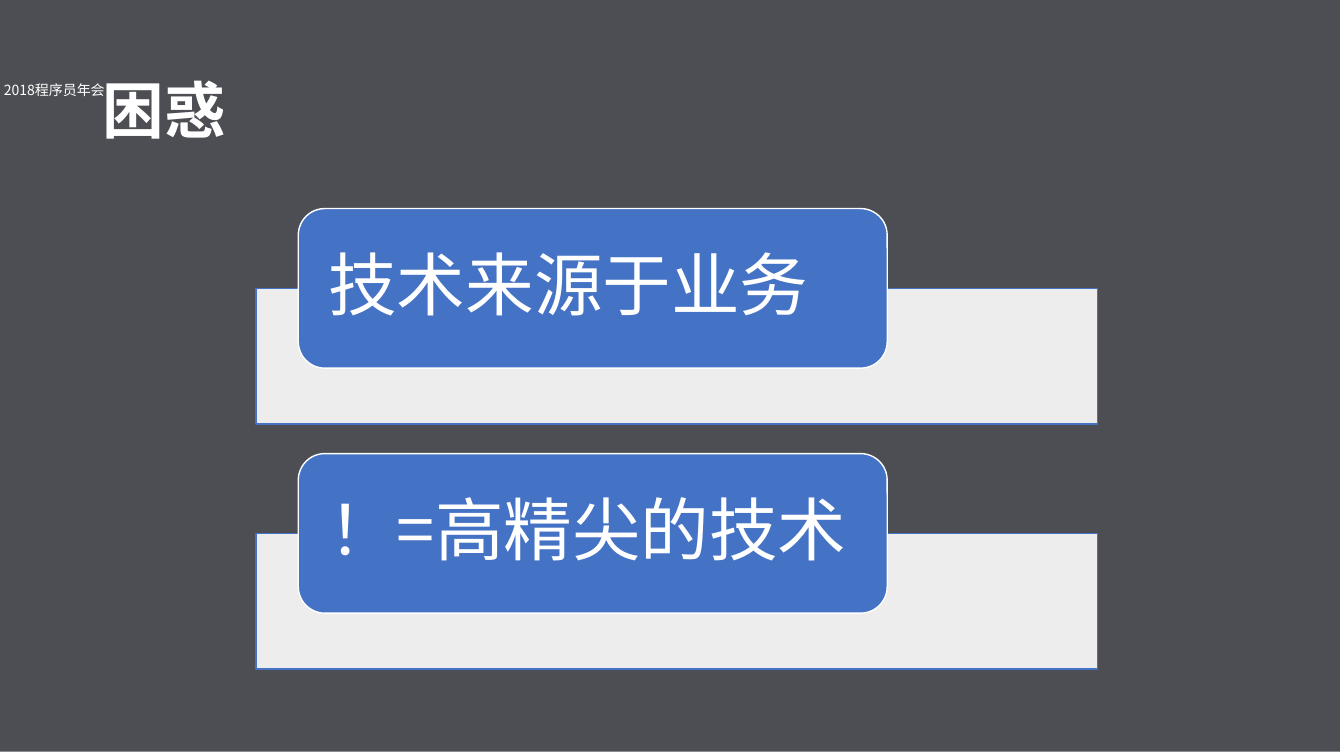
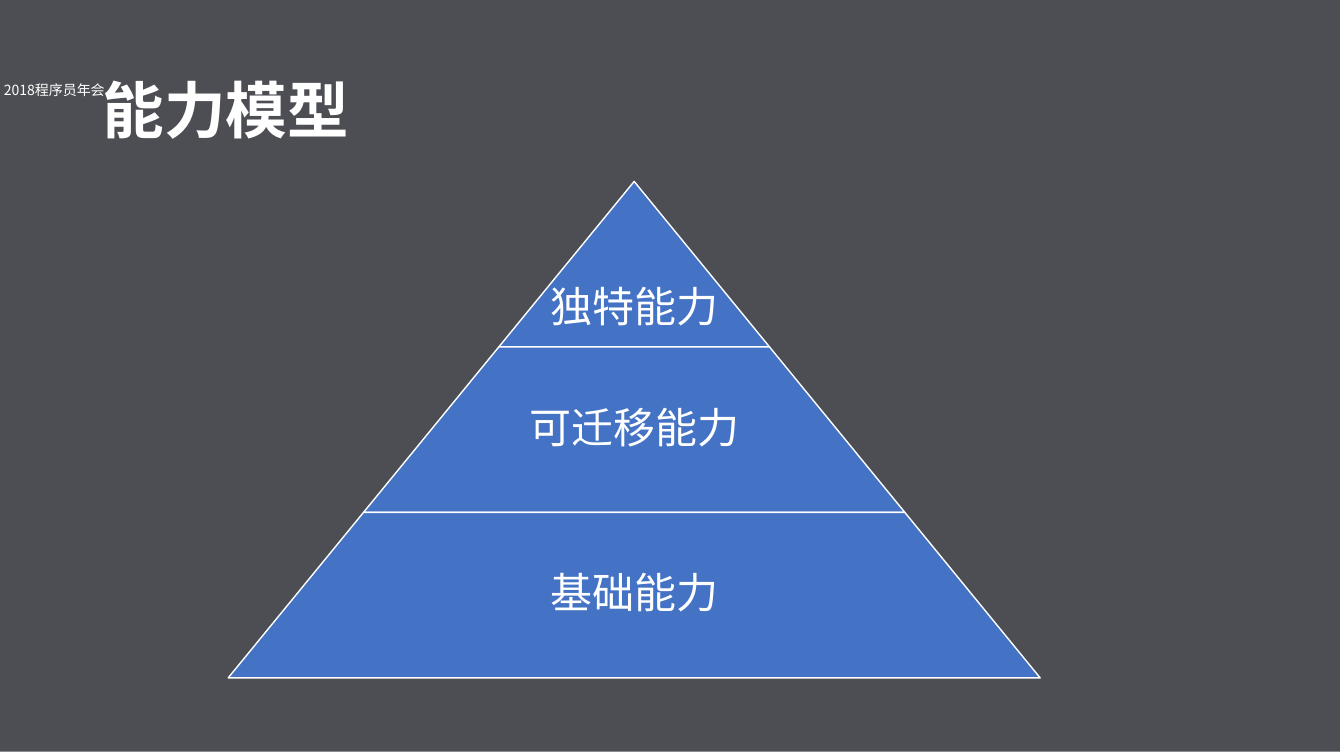
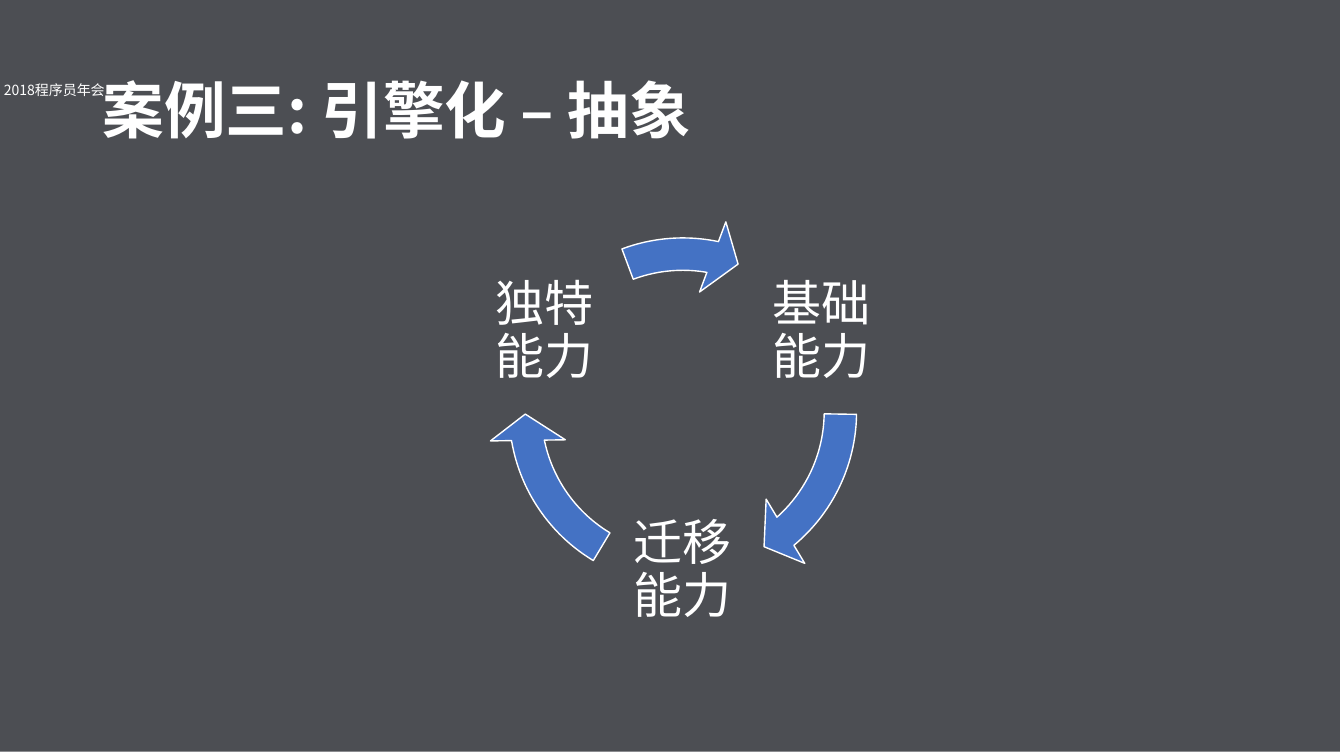
import math

import pptx
import pptx.dml.color
import pptx.enum.shapes
import pptx.enum.text
import pptx.oxml
import pptx.oxml.ns
import pptx.util

Pt = pptx.util.Pt
MSO_SHAPE = pptx.enum.shapes.MSO_SHAPE
PP_ALIGN = pptx.enum.text.PP_ALIGN
MSO_ANCHOR = pptx.enum.text.MSO_ANCHOR
MSO_AUTO_SIZE = pptx.enum.text.MSO_AUTO_SIZE

FONT = "Noto Sans CJK SC"
COLORS = {"overlay": "01040B", "accent": "4472C4", "white": "FFFFFF"}
EVENT = "2018程序员年会"
EVENT_STOPS = [(5, "BFBFBF"), (41, "FFFFFF"), (65, "FFFFFF"), (97, "D9D9D9")]
TITLE_ONLY = 5


def rgb(name):
    return pptx.dml.color.RGBColor.from_string(COLORS[name])


def write(tf, text, size, align=PP_ALIGN.CENTER, anchor=MSO_ANCHOR.MIDDLE,
          inset=(0, 0), bold=False, spacing=0.9):
    """Fill a text frame; inset is (horizontal, vertical) in points."""
    frame = {"word_wrap": True, "auto_size": MSO_AUTO_SIZE.NONE,
             "vertical_anchor": anchor,
             "margin_left": Pt(inset[0]), "margin_right": Pt(inset[0]),
             "margin_top": Pt(inset[1]), "margin_bottom": Pt(inset[1])}
    for name, value in frame.items():
        setattr(tf, name, value)
    tf.text = text
    p = tf.paragraphs[0]
    p.alignment = align
    p.line_spacing = spacing
    for r in p.runs:
        for name, value in {"size": Pt(size), "bold": bold, "name": FONT}.items():
            setattr(r.font, name, value)
        r.font.color.rgb = rgb("white")
        latin = r.font._element.find(pptx.oxml.ns.qn("a:latin"))
        latin.addnext(pptx.oxml.parse_xml(
            f'<a:ea {pptx.oxml.ns.nsdecls("a")} typeface="{FONT}"/>'))


def add_text(s, box, text, size, **style):
    sp = s.shapes.add_textbox(*map(Pt, box))
    write(sp.text_frame, text, size, **style)
    return sp


def add_shape(s, kind, box, fill, line=None, opacity=None):
    sp = s.shapes.add_shape(kind, *map(Pt, box))
    sp.shadow.inherit = False
    sp.fill.solid()
    sp.fill.fore_color.rgb = rgb(fill)
    if opacity is not None:
        color = sp._element.spPr.find(".//" + pptx.oxml.ns.qn("a:srgbClr"))
        color.append(pptx.oxml.parse_xml(
            f'<a:alpha {pptx.oxml.ns.nsdecls("a")} val="{opacity * 1000}"/>'))
    if line:
        sp.line.color.rgb = rgb(line)
        sp.line.width = Pt(1)
    else:
        sp.line.fill.background()
    return sp


def add_event_label(s, box):
    sp = add_text(s, box, EVENT, 10, anchor=MSO_ANCHOR.TOP,
                  inset=(7.2, 3.6), spacing=1.0)
    solid = sp._element.find(".//" + pptx.oxml.ns.qn("a:rPr")).find(
        pptx.oxml.ns.qn("a:solidFill"))
    stops = "".join(f'<a:gs pos="{pos * 1000}"><a:srgbClr val="{color}"/></a:gs>'
                    for pos, color in EVENT_STOPS)
    gradient = pptx.oxml.parse_xml(
        f'<a:gradFill {pptx.oxml.ns.nsdecls("a")}><a:gsLst>{stops}</a:gsLst>'
        '<a:lin ang="5400000" scaled="0"/></a:gradFill>')
    solid.getparent().replace(solid, gradient)


def add_base_slide(prs, text):
    """Add a slide with the dark overlay, the event label and the title."""
    s = prs.slides.add_slide(prs.slide_layouts[TITLE_ONLY])
    add_shape(s, MSO_SHAPE.RECTANGLE, (-3, -3, 960, 540), "overlay", opacity=70)
    add_event_label(s, (-5, 54.7, 87.6, 19.5))
    title = s.shapes.title
    s.shapes._spTree.append(title._element)
    place = {"left": 66, "top": 28.8, "width": 828, "height": 104.4}
    for name, value in place.items():
        setattr(title, name, Pt(value))
    write(title.text_frame, text, 44, align=PP_ALIGN.LEFT, inset=(7.2, 3.6), bold=True)
    return s


def add_statements(s, box, texts):
    """Stack statements, each a pill overlapping a pale bar."""
    x, y, w, h = box
    pill_h, bar_drop, bar_h = 114, 57, 97
    step = (h - bar_drop - bar_h) / (len(texts) - 1)
    for i, text in enumerate(texts):
        top = y + i * step
        add_shape(s, MSO_SHAPE.RECTANGLE, (x, top + bar_drop, w, bar_h),
                  "white", "accent", opacity=90)
        pill = add_shape(s, MSO_SHAPE.ROUNDED_RECTANGLE,
                         (x + w * 0.05, top, w * 0.7, pill_h), "accent", "white")
        write(pill.text_frame, text, 49, align=PP_ALIGN.LEFT, inset=(16, 0))


def add_pyramid(s, box, tiers):
    """Draw tiers from the top; each is a text and its drop below the middle."""
    x, y, w, h = box
    n = len(tiers)
    tier_h = h / n
    for i, (text, drop) in enumerate(tiers):
        tier_w = w * (i + 1) / n
        left, top = x + (w - tier_w) / 2, y + i * tier_h
        tier = add_shape(s, MSO_SHAPE.TRAPEZOID, (left, top, tier_w, tier_h),
                         "accent", "white")
        tier.adjustments[0] = w / (2 * n) / tier_h
        add_text(s, (left, top + drop, tier_w, tier_h), text, 30, inset=(3, 3))


def add_cycle(s, box, steps):
    """Place labels evenly on a ring; each step has its arrow's start and end degrees."""
    x, y, side = box
    radius, label = 114, 118
    for i, (text, start, end) in enumerate(steps):
        angle = math.radians(-30 + i * 360 / len(steps))
        cx = x + side / 2 + radius * math.cos(angle)
        cy = y + side / 2 + radius * math.sin(angle)
        add_text(s, (cx - label / 2, cy - label / 2, label, label), text, 35,
                 inset=(3.6, 3.6))
        arrow = add_shape(s, MSO_SHAPE.CIRCULAR_ARROW, (x, y, side, side),
                          "accent", "white")
        values = (0.083, 9.61 * 0.6, end * 0.6, start * 0.6, 0.096)
        for k, value in enumerate(values):
            arrow.adjustments[k] = value


def main():
    prs = pptx.Presentation()
    prs.slide_width, prs.slide_height = Pt(960), Pt(540)

    s = add_base_slide(prs, "困惑")
    add_statements(s, (183, 149, 601, 329), ["技术来源于业务", "！=高精尖的技术"])

    s = add_base_slide(prs, "能力模型")
    add_pyramid(s, (163, 129.6, 580, 354.6),
                [("独特能力", 32), ("可迁移能力", 0), ("基础能力", 0)])

    s = add_base_slide(prs, "案例三: 引擎化 – 抽象")
    add_cycle(s, (348.5, 154.8, 278.6),
              [("基础\v能力", 0.88, 49.37),
               ("迁移\v能力", 121.03, 169.51),
               ("独特\v能力", 249.48, 280.92)])

    prs.save("out.pptx")


if __name__ == "__main__":
    main()
